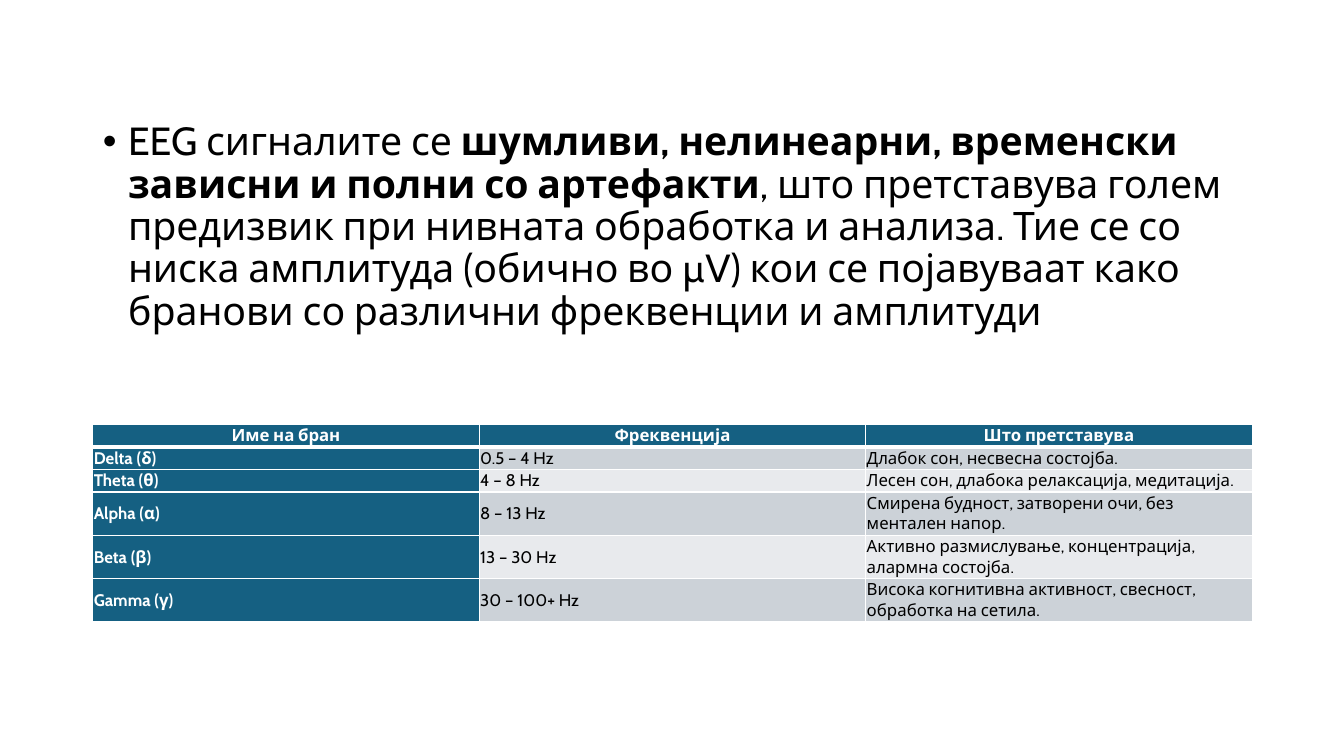
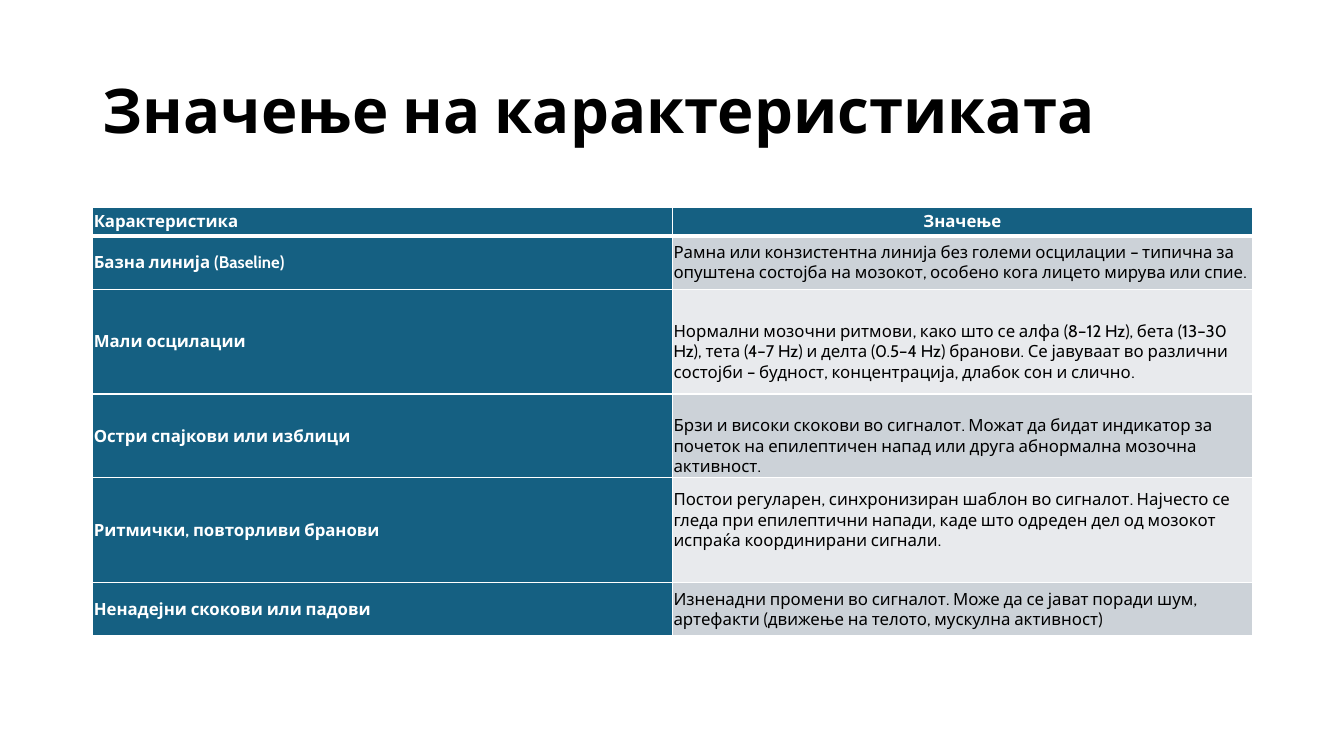
from dataclasses import dataclass

from lxml.etree import SubElement
from pptx import Presentation
from pptx.dml.color import RGBColor as Color
from pptx.enum.text import MSO_ANCHOR as Anchor, MSO_AUTO_SIZE as AutoSize, PP_ALIGN as Align
from pptx.oxml.ns import qn
from pptx.util import Pt

EMU_PER_PX = 9144
LEFT, WIDTH = 92, 1150
TITLE_AND_CONTENT, TITLE_ONLY = 1, 5


@dataclass(frozen=True)
class Theme:
    font: str = "Cabin"
    text: str = "000000"
    light: str = "FFFFFF"
    accent: str = "156082"
    bands: tuple[str, str] = ("CCD2D8", "E8EAED")
    title_size: int = 44
    body_size: int = 28
    table_size: int = 12
    line_spacing: float = 0.9
    thin: int = 1
    thick: int = 3


@dataclass(frozen=True)
class Row:
    height: int
    texts: tuple[str, ...]
    pad_top: int = 1
    pad_bottom: int = 1


@dataclass(frozen=True)
class TableSpec:
    top: int
    rows: tuple[Row, ...]
    header_aligns: tuple[Align, ...]


THEME = Theme()

BODY_RUNS = (
    ("EEG сигналите се ", False),
    ("шумливи, нелинеарни, временски зависни и полни со артефакти", True),
    (", што претставува голем предизвик при нивната обработка и анализа. Тие се со ниска "
     "амплитуда (обично во µV) кои се појавуваат како бранови со различни фреквенции и "
     "амплитуди", False),
)

WAVES = TableSpec(
    top=421,
    header_aligns=(Align.CENTER, Align.CENTER, Align.CENTER),
    rows=(
        Row(21, ("Име на бран", "Фреквенција", "Што претставува")),
        Row(22, ("Delta (δ)", "0.5 – 4 Hz", "Длабок сон, несвесна состојба.")),
        Row(22, ("Theta (θ)", "4 – 8 Hz", "Лесен сон, длабока релаксација, медитација.")),
        Row(43, ("Alpha (α)", "8 – 13 Hz",
                 "Смирена будност, затворени очи, без ментален напор.")),
        Row(43, ("Beta (β)", "13 – 30 Hz",
                 "Активно размислување, концентрација, алармна состојба.")),
        Row(42, ("Gamma (γ)", "30 – 100+ Hz",
                 "Висока когнитивна активност, свесност, обработка на сетила.")),
    ),
)

FEATURES = TableSpec(
    top=206,
    header_aligns=(Align.LEFT, Align.CENTER),
    rows=(
        Row(28, ("Карактеристика", "Значење")),
        Row(53, ("Базна линија (Baseline)",
                 "Рамна или конзистентна линија без големи осцилации – типична за опуштена "
                 "состојба на мозокот, особено кога лицето мирува или спие.")),
        Row(104, ("Мали осцилации",
                  "Нормални мозочни ритмови, како што се алфа (8–12 Hz), бета (13–30 Hz), "
                  "тета (4–7 Hz) и делта (0.5–4 Hz) бранови. Се јавуваат во различни состојби "
                  "– будност, концентрација, длабок сон и слично."), pad_top=21),
        Row(83, ("Остри спајкови или изблици",
                 "Брзи и високи скокови во сигналот. Можат да бидат индикатор за почеток на "
                 "епилептичен напад или друга абнормална мозочна активност."), pad_top=21),
        Row(104, ("Ритмички, повторливи бранови",
                  "Постои регуларен, синхронизиран шаблон во сигналот. Најчесто се гледа при "
                  "епилептични напади, каде што одреден дел од мозокот испраќа координирани "
                  "сигнали."), pad_bottom=21),
        Row(53, ("Ненадејни скокови или падови",
                 "Изненадни промени во сигналот. Може да се јават поради шум, артефакти "
                 "(движење на телото, мускулна активност)")),
    ),
)


def px(value: int) -> int:
    return value * EMU_PER_PX


def format_paragraph(paragraph, size: int, color: str, bold: bool, align: Align) -> None:
    paragraph.alignment = align
    font = paragraph.font
    font.name, font.size, font.bold = THEME.font, Pt(size), bold
    font.color.rgb = Color.from_string(color)


def place_placeholder(shape, top: int, height: int, anchor: Anchor):
    shape.left, shape.top, shape.width, shape.height = map(px, (LEFT, top, WIDTH, height))
    frame = shape.text_frame
    frame.word_wrap, frame.auto_size, frame.vertical_anchor = True, AutoSize.NONE, anchor
    paragraph = frame.paragraphs[0]
    paragraph.line_spacing = THEME.line_spacing
    paragraph.space_before = Pt(0)
    return paragraph


def add_title(slide, text: str) -> None:
    paragraph = place_placeholder(slide.shapes.title, 40, 145, Anchor.MIDDLE)
    paragraph.add_run().text = text
    format_paragraph(paragraph, THEME.title_size, THEME.text, True, Align.LEFT)


def add_bullet(slide, runs: tuple[tuple[str, bool], ...]) -> None:
    paragraph = place_placeholder(slide.placeholders[1], 116, 476, Anchor.TOP)
    properties = paragraph._p.get_or_add_pPr()
    properties.set("marL", str(px(25)))
    properties.set("indent", str(px(-25)))
    SubElement(properties, qn("a:buFont"), typeface="Arial")
    SubElement(properties, qn("a:buChar"), char="•")
    format_paragraph(paragraph, THEME.body_size, THEME.text, False, Align.LEFT)
    for text, bold in runs:
        run = paragraph.add_run()
        run.text = text
        if bold:
            run.font.bold = True


def set_borders(cell, top: int, bottom: int) -> None:
    properties = cell._tc.get_or_add_tcPr()
    widths = {"a:lnL": THEME.thin, "a:lnR": THEME.thin, "a:lnT": top, "a:lnB": bottom}
    for index, (tag, width) in enumerate(widths.items()):
        line = SubElement(properties, qn(tag), w=str(Pt(width)))
        fill = SubElement(line, qn("a:solidFill"))
        SubElement(fill, qn("a:srgbClr"), val=THEME.light)
        properties.insert(index, line)


def fill_cell(cell, row: Row, row_index: int, column: int, header_align: Align) -> None:
    is_header = row_index == 0
    is_label = is_header or column == 0
    cell.margin_left = cell.margin_right = px(1)
    cell.margin_top = px(1 if is_label else row.pad_top)
    cell.margin_bottom = px(1 if is_label else row.pad_bottom)
    cell.vertical_anchor = Anchor.MIDDLE
    cell.fill.solid()
    background = THEME.accent if is_label else THEME.bands[(row_index - 1) % 2]
    cell.fill.fore_color.rgb = Color.from_string(background)
    set_borders(cell, THEME.thick if row_index == 1 else THEME.thin,
                THEME.thick if is_header else THEME.thin)
    cell.text = row.texts[column]
    format_paragraph(cell.text_frame.paragraphs[0], THEME.table_size,
                     THEME.light if is_label else THEME.text, is_label,
                     header_align if is_header else Align.LEFT)


def add_table(slide, spec: TableSpec) -> None:
    column_count = len(spec.header_aligns)
    height = sum(row.height for row in spec.rows)
    table = slide.shapes.add_table(len(spec.rows), column_count, px(LEFT), px(spec.top),
                                   px(WIDTH), px(height)).table
    table.first_row = table.horz_banding = False
    for row_index, row in enumerate(spec.rows):
        table.rows[row_index].height = px(row.height)
        for column, header_align in enumerate(spec.header_aligns):
            fill_cell(table.cell(row_index, column), row, row_index, column, header_align)


def main() -> None:
    presentation = Presentation()
    presentation.slide_width, presentation.slide_height = px(1333), px(750)
    layouts = presentation.slide_layouts

    waves_slide = presentation.slides.add_slide(layouts[TITLE_AND_CONTENT])
    empty_title = waves_slide.shapes.title.element
    empty_title.getparent().remove(empty_title)
    add_bullet(waves_slide, BODY_RUNS)
    add_table(waves_slide, WAVES)

    features_slide = presentation.slides.add_slide(layouts[TITLE_ONLY])
    add_title(features_slide, "Значење на карактеристиката")
    add_table(features_slide, FEATURES)

    presentation.save("out.pptx")


if __name__ == "__main__":
    main()
